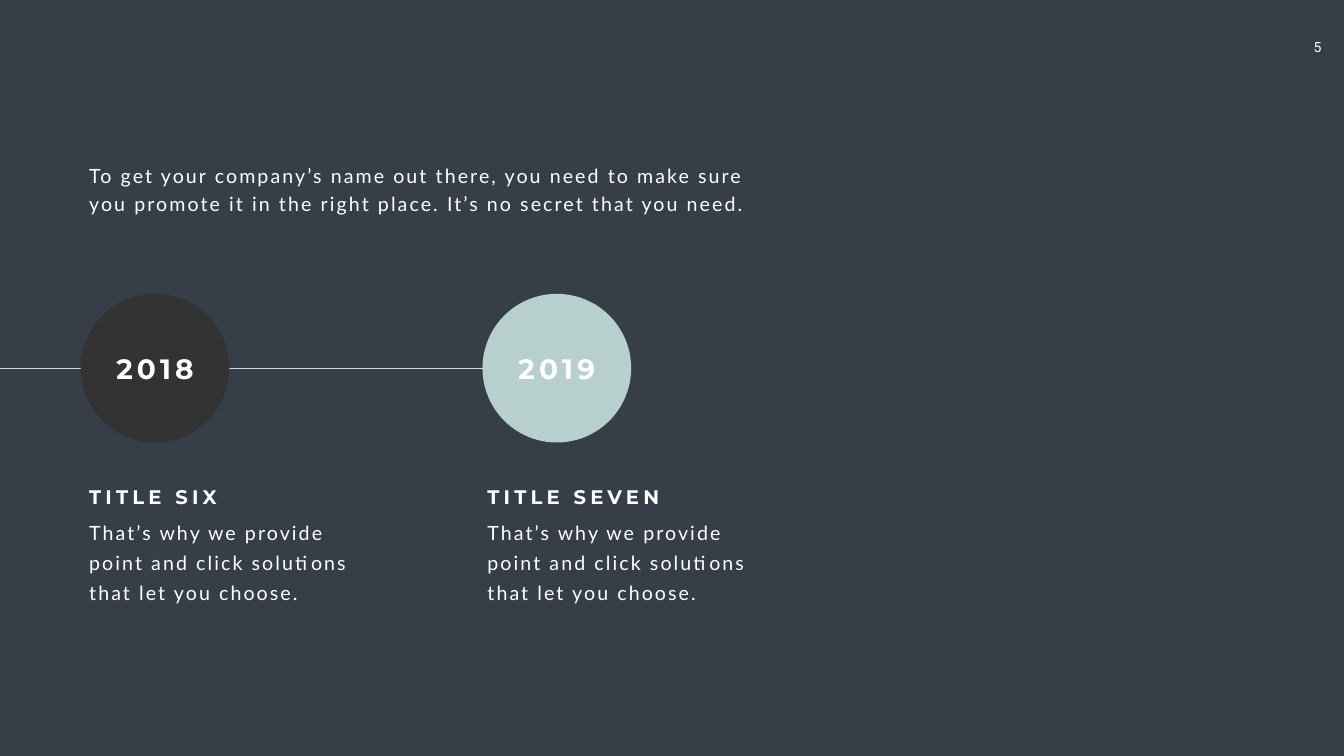
"""Build a dark timeline slide with two dated milestones."""
from dataclasses import dataclass

from pptx import Presentation
from pptx.dml.color import RGBColor
from pptx.enum.shapes import MSO_CONNECTOR, MSO_SHAPE
from pptx.enum.text import PP_ALIGN
from pptx.oxml.ns import qn
from pptx.util import Inches, Pt
from lxml.etree import SubElement


@dataclass(frozen=True)
class Theme:
    background: RGBColor = RGBColor.from_string("363E48")
    text: RGBColor = RGBColor.from_string("FFFFFF")
    line: RGBColor = RGBColor.from_string("D9D9D9")
    dark: RGBColor = RGBColor.from_string("323332")
    mint: RGBColor = RGBColor.from_string("B7D0CD")
    body_font: str = "Lato"
    heading_font: str = "Montserrat"
    number_font: str = "Roboto"
    body_size: int = 28
    year_size: int = 40
    number_size: int = 20


theme = Theme()


def add_text(page, text, area, font, size, bold=False, tracking=0,
             align=PP_ALIGN.LEFT, leading=None):
    box = page.shapes.add_textbox(*[Inches(length) for length in area])
    box.text_frame.word_wrap = True
    para = box.text_frame.paragraphs[0]
    para.alignment = align
    if leading:
        para.line_spacing = Pt(leading)
    para.font.name = font
    para.font.size = Pt(size)
    para.font.bold = bold
    para.font.color.rgb = theme.text
    span = para.add_run()
    span.text = text
    if tracking:
        span._r.get_or_add_rPr().set("spc", str(tracking * 100))


deck = Presentation()
deck.slide_width = Inches(26.66)
deck.slide_height = Inches(15)
page = deck.slides.add_slide(deck.slide_layouts[6])
page.background.fill.solid()
page.background.fill.fore_color.rgb = theme.background

add_text(page, "5", (25.63, 0.72, 1.01, 0.44), theme.number_font,
         theme.number_size, align=PP_ALIGN.CENTER)

timeline = page.shapes.add_connector(
    MSO_CONNECTOR.STRAIGHT, Inches(0), Inches(7.3), Inches(12.23), Inches(7.3))
timeline.line.color.rgb = theme.line
timeline.line.width = Pt(0.5)
SubElement(timeline._element.spPr, qn("a:effectLst"))

milestones = [
    ("2018", "TITLE SIX", theme.dark, 1.6, 1.67),
    ("2019", "TITLE SEVEN", theme.mint, 9.57, 9.57),
]
description = "That’s why we provide point and click solutions that let you choose."
diameter = 2.95
year_width = 2.08

for year, title, color, circle_left, text_left in milestones:
    circle = page.shapes.add_shape(
        MSO_SHAPE.OVAL, Inches(circle_left), Inches(5.83),
        Inches(diameter), Inches(diameter))
    circle.shadow.inherit = False
    circle.fill.solid()
    circle.fill.fore_color.rgb = color
    circle.line.fill.background()
    year_left = circle_left + (diameter - year_width) / 2
    add_text(page, year, (year_left, 6.92, year_width, 0.77),
             theme.heading_font, theme.year_size, bold=True, tracking=6,
             align=PP_ALIGN.CENTER)
    add_text(page, title, (text_left, 9.58, 4.41, 0.57),
             theme.heading_font, theme.body_size, bold=True, tracking=6)
    add_text(page, description, (text_left, 10.15, 5.45, 1.85),
             theme.body_font, theme.body_size, tracking=3, leading=43)

add_text(page, "To get your company’s name out there, you need to make sure "
         "you promote it in the right place. It’s no secret that you need.",
         (1.67, 3.1, 13.35, 1.19), theme.body_font, theme.body_size,
         tracking=3, leading=40.8)

deck.save("out.pptx")
